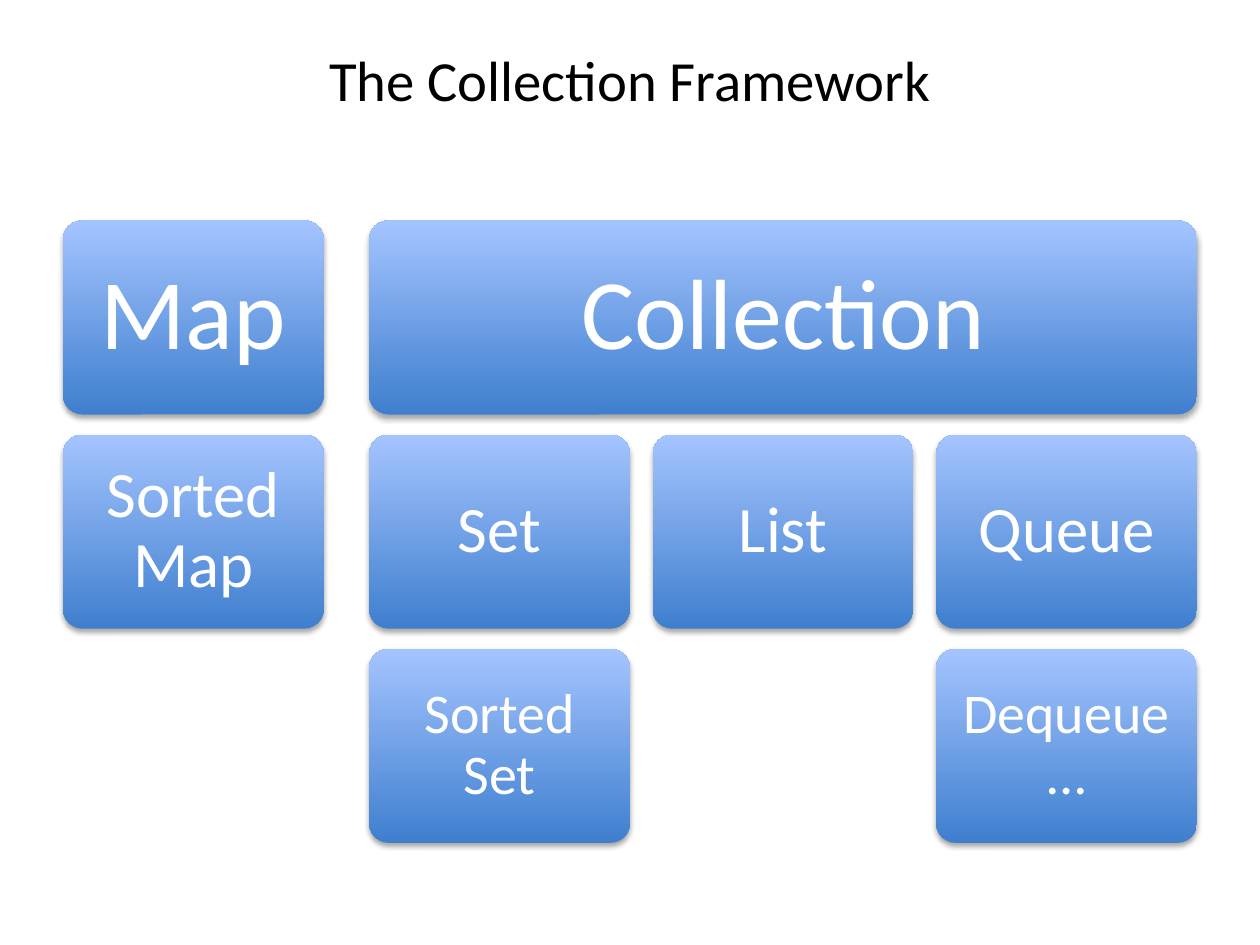
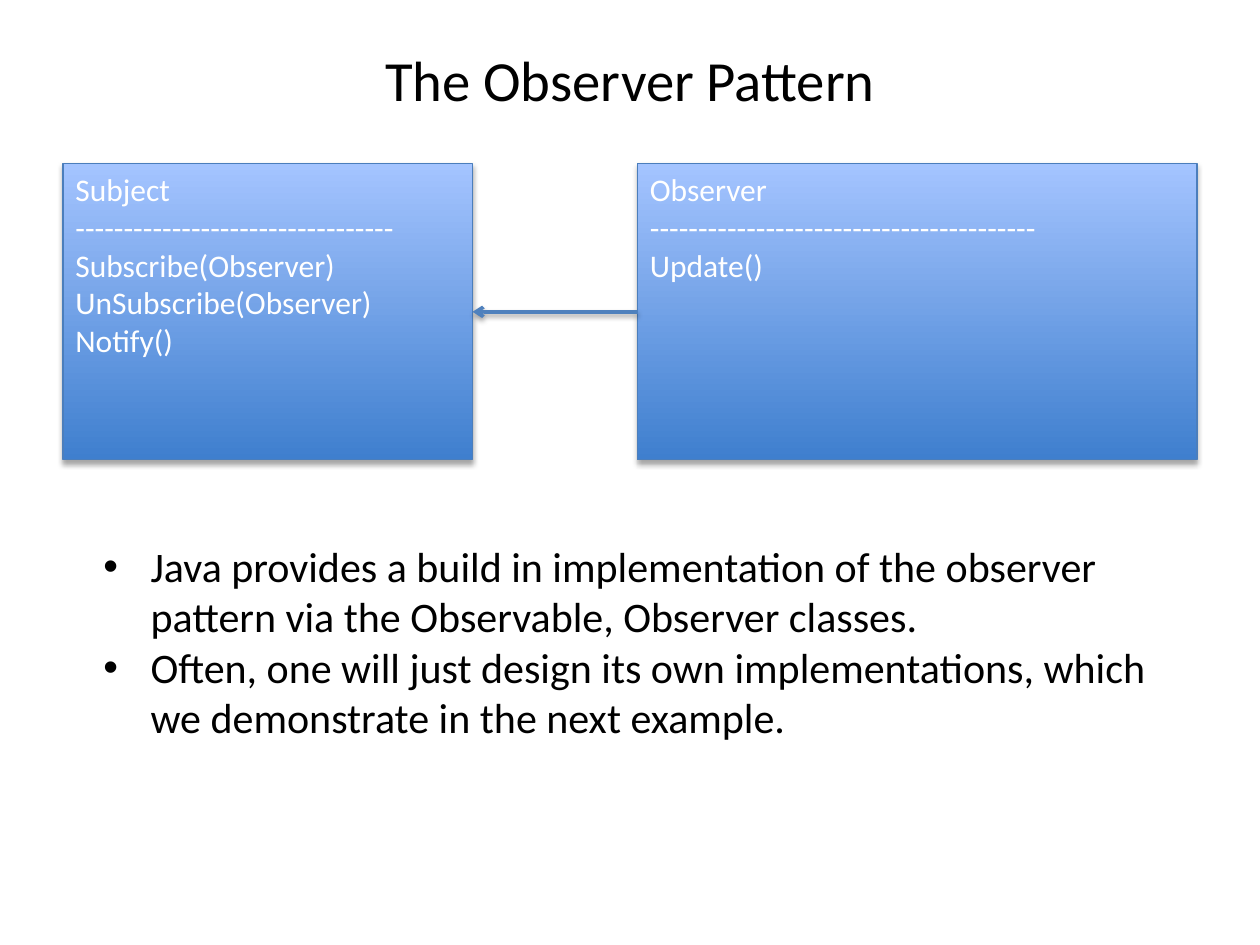
"""Build two slides: the collection framework and the observer pattern."""
from lxml import etree
from pptx import Presentation
from pptx.dml.color import RGBColor
from pptx.enum.shapes import MSO_CONNECTOR, MSO_SHAPE
from pptx.enum.text import MSO_ANCHOR, MSO_AUTO_SIZE, PP_ALIGN
from pptx.oxml import parse_xml
from pptx.oxml.ns import nsdecls, qn
from pptx.util import Inches, Pt

COLORS = {
    "text": "000000",
    "light_text": "FFFFFF",
    "background": "FFFFFF",
    "gradient_bottom": "3F7FCE",
    "gradient_top": "A4C4FF",
    "outline": "4B7EBC",
    "arrow": "4F81BD",
}
FONT = "Calibri"


def write_text(shape, lines, size, color="text", align=PP_ALIGN.LEFT,
               anchor=MSO_ANCHOR.TOP, spacing=1.0, inset=None):
    frame = shape.text_frame
    frame.text = "\n".join(lines)
    frame.word_wrap = True
    frame.auto_size = MSO_AUTO_SIZE.NONE
    frame.vertical_anchor = anchor
    if inset is not None:
        frame.margin_left = frame.margin_right = Inches(inset)
        frame.margin_top = frame.margin_bottom = Inches(inset)
    for paragraph in frame.paragraphs:
        paragraph.alignment = align
        paragraph.line_spacing = spacing
        paragraph.space_before = Pt(0)
        for run in paragraph.runs:
            run.font.name = FONT
            run.font.size = Pt(size)
            run.font.color.rgb = RGBColor.from_string(COLORS[color])


def add_box(slide, kind, left, top, width, height):
    box = slide.shapes.add_shape(
        kind, Inches(left), Inches(top), Inches(width), Inches(height))
    box.fill.gradient()
    box.fill.gradient_angle = 90
    for stop, name in zip(box.fill.gradient_stops, ("gradient_bottom", "gradient_top")):
        stop.color.rgb = RGBColor.from_string(COLORS[name])
    box.line.fill.background()
    return box


presentation = Presentation()
presentation.slide_width = Inches(10)
presentation.slide_height = Inches(7.5)

slides = []
for title, layout_index in (("The Collection Framework", 5), ("The Observer Pattern", 1)):
    slide = presentation.slides.add_slide(presentation.slide_layouts[layout_index])
    slide.background.fill.solid()
    slide.background.fill.fore_color.rgb = RGBColor.from_string(COLORS["background"])
    heading = slide.shapes.title
    heading.left, heading.top = Inches(0.5), Inches(0.3)
    heading.width, heading.height = Inches(9), Inches(0.65)
    write_text(heading, [title], size=32.4, align=PP_ALIGN.CENTER, anchor=MSO_ANCHOR.MIDDLE)
    slides.append(slide)
collection_slide, observer_slide = slides

CARD_WIDTH, CARD_HEIGHT = 2.07, 1.54
ROW_TOP, ROW_STEP = 1.75, 1.7
COLUMNS = [0.5] + [2.93 + 2.25 * index for index in range(3)]
LEVELS = [(57, 0.24), (37, 0.15), (32, 0.13)]
CARDS = [
    ("Map", 0, 0, CARD_WIDTH),
    ("Sorted Map", 1, 0, CARD_WIDTH),
    ("Collection", 0, 1, 6.57),
    ("Set", 1, 1, CARD_WIDTH),
    ("Sorted Set", 2, 1, CARD_WIDTH),
    ("List", 1, 2, CARD_WIDTH),
    ("Queue", 1, 3, CARD_WIDTH),
    ("Dequeue …", 2, 3, CARD_WIDTH),
]
shadowed = []
for label, row, column, width in CARDS:
    card = add_box(collection_slide, MSO_SHAPE.ROUNDED_RECTANGLE, COLUMNS[column],
                   ROW_TOP + ROW_STEP * row, width, CARD_HEIGHT)
    card.adjustments[0] = 0.1
    size, inset = LEVELS[row]
    write_text(card, [label], size=size, color="light_text", align=PP_ALIGN.CENTER,
               anchor=MSO_ANCHOR.MIDDLE, spacing=0.9, inset=inset)
    shadowed.append((card, 35))

CLASSES = [
    (0.5, 3.25, ["Subject", "-" * 33, "Subscribe(Observer)", "UnSubscribe(Observer)", "Notify()"]),
    (5.06, 4.44, ["Observer", "-" * 40, "Update()"]),
]
class_boxes = []
for left, width, lines in CLASSES:
    box = add_box(observer_slide, MSO_SHAPE.RECTANGLE, left, 1.3, width, 2.35)
    box.line.color.rgb = RGBColor.from_string(COLORS["outline"])
    box.line.width = Pt(0.75)
    write_text(box, lines, size=18, color="light_text")
    class_boxes.append(box)
    shadowed.append((box, 35))

subject, observer = class_boxes
arrow = observer_slide.shapes.add_connector(
    MSO_CONNECTOR.STRAIGHT, Inches(5.06), Inches(2.48), Inches(3.75), Inches(2.48))
arrow.begin_connect(observer, 1)
arrow.end_connect(subject, 3)
arrow.line.color.rgb = RGBColor.from_string(COLORS["arrow"])
arrow.line.width = Pt(2)
etree.SubElement(arrow.line._get_or_add_ln(), qn("a:tailEnd"), type="arrow")
shadowed.append((arrow, 38))

for shape, opacity in shadowed:
    shape._element.spPr.append(parse_xml(
        f'<a:effectLst {nsdecls("a")}>'
        f'<a:outerShdw blurRad="{Pt(3.1)}" dist="{Pt(1.8)}" dir="5400000" rotWithShape="0">'
        f'<a:srgbClr val="000000"><a:alpha val="{opacity * 1000}"/></a:srgbClr>'
        '</a:outerShdw></a:effectLst>'))

notes = observer_slide.placeholders[1]
notes.left, notes.top = Inches(0.72), Inches(4.24)
notes.width, notes.height = Inches(8.78), Inches(1.72)
write_text(notes, [
    "Java provides a build in implementation of the observer pattern via the "
    "Observable, Observer classes.",
    "Often, one will just design its own implementations, which we demonstrate "
    "in the next example.",
], size=24)

presentation.save("out.pptx")
